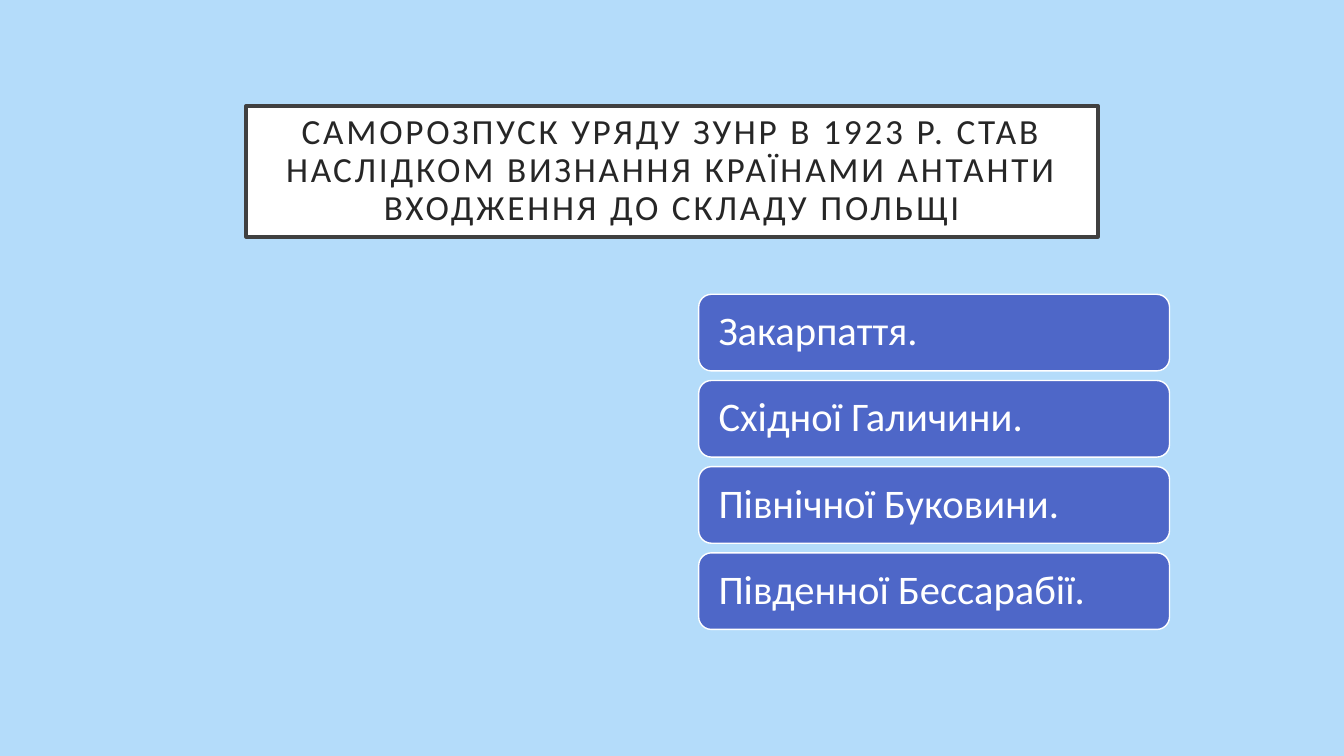
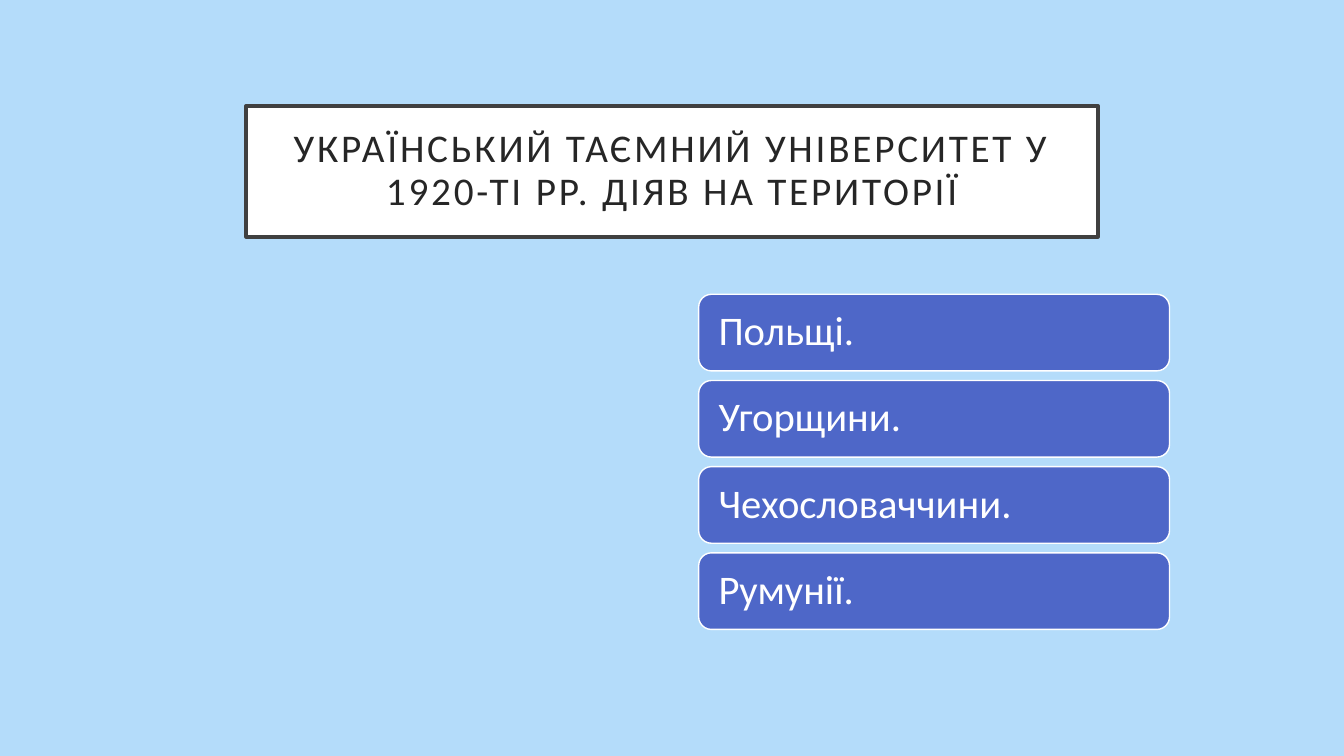
from dataclasses import dataclass

from pptx import Presentation
from pptx import util as u
from pptx.dml.color import RGBColor
from pptx.enum import shapes, text

# Shared look
FONT = "Calibri"
SKY, WHITE, INDIGO, FRAME, INK = "B4DCFA", "FFFFFF", "4E67C8", "404040", "262626"
ANSWER_TOP, ANSWER_PITCH = 2.92, 0.855


@dataclass(frozen=True)
class BoxStyle:
    outline: shapes.MSO_SHAPE
    fill: str
    line: str
    line_width: float
    ink: str
    align: text.PP_ALIGN
    side_inset: float
    spacing: int = 0  # hundredths of a point between letters


@dataclass(frozen=True)
class Question:
    title: str
    title_size: float
    answers: tuple[str, ...]


TITLE = BoxStyle(shapes.MSO_SHAPE.RECTANGLE, WHITE, FRAME, 2.5, INK,
                 text.PP_ALIGN.CENTER, 0.2, 200)
ANSWER = BoxStyle(shapes.MSO_SHAPE.ROUNDED_RECTANGLE, INDIGO, WHITE, 1, WHITE,
                  text.PP_ALIGN.LEFT, 0.16)

QUESTIONS = (
    Question(
        "САМОРОЗПУСК УРЯДУ ЗУНР В 1923 Р. СТАВ НАСЛІДКОМ ВИЗНАННЯ КРАЇНАМИ "
        "АНТАНТИ ВХОДЖЕННЯ ДО СКЛАДУ ПОЛЬЩІ", 25.2,
        ("Закарпаття.", "Східної Галичини.", "Північної Буковини.",
         "Південної Бессарабії.")),
    Question(
        "УКРАЇНСЬКИЙ ТАЄМНИЙ УНІВЕРСИТЕТ У 1920-ТІ РР. ДІЯВ НА ТЕРИТОРІЇ", 28,
        ("Польщі.", "Угорщини.", "Чехословаччини.", "Румунії.")),
)


def paint(colour_format, colour: str) -> None:
    colour_format.rgb = RGBColor.from_string(colour)


def apply(target, values: dict) -> None:
    for name, value in values.items():
        setattr(target, name, value)


def add_box(slide, style: BoxStyle, left: float, top: float, width: float,
            height: float, wording: str, size: float) -> None:
    box = slide.shapes.add_shape(style.outline, *map(u.Inches, (left, top, width, height)))
    box.shadow.inherit = False
    box.fill.solid()
    paint(box.fill.fore_color, style.fill)
    paint(box.line.color, style.line)
    box.line.width = u.Pt(style.line_width)

    frame = box.text_frame
    side, edge = u.Inches(style.side_inset), u.Inches(0.05)
    apply(frame, {"word_wrap": True, "vertical_anchor": text.MSO_ANCHOR.MIDDLE,
                  "margin_left": side, "margin_right": side,
                  "margin_top": edge, "margin_bottom": edge})
    paragraph = frame.paragraphs[0]
    apply(paragraph, {"alignment": style.align, "line_spacing": 0.9})
    run = paragraph.add_run()
    run.text = wording
    apply(run.font, {"name": FONT, "size": u.Pt(size)})
    paint(run.font.color, style.ink)
    if style.spacing:
        run._r.get_or_add_rPr().set("spc", str(style.spacing))


def add_question(deck, question: Question) -> None:
    slide = deck.slides.add_slide(deck.slide_layouts[6])
    add_box(slide, TITLE, 2.44, 1.05, 8.45, 1.3, question.title, question.title_size)
    # Answers stacked at an even pitch
    for row, answer in enumerate(question.answers):
        add_box(slide, ANSWER, 6.93, ANSWER_TOP + row * ANSWER_PITCH, 4.67, 0.76,
                answer, 29)


def main() -> None:
    deck = Presentation()
    apply(deck, {"slide_width": u.Inches(13.33), "slide_height": u.Inches(7.5)})
    # Background for every slide
    backdrop = deck.slide_master.background.fill
    backdrop.solid()
    paint(backdrop.fore_color, SKY)
    for question in QUESTIONS:
        add_question(deck, question)
    deck.save("out.pptx")


if __name__ == "__main__":
    main()
